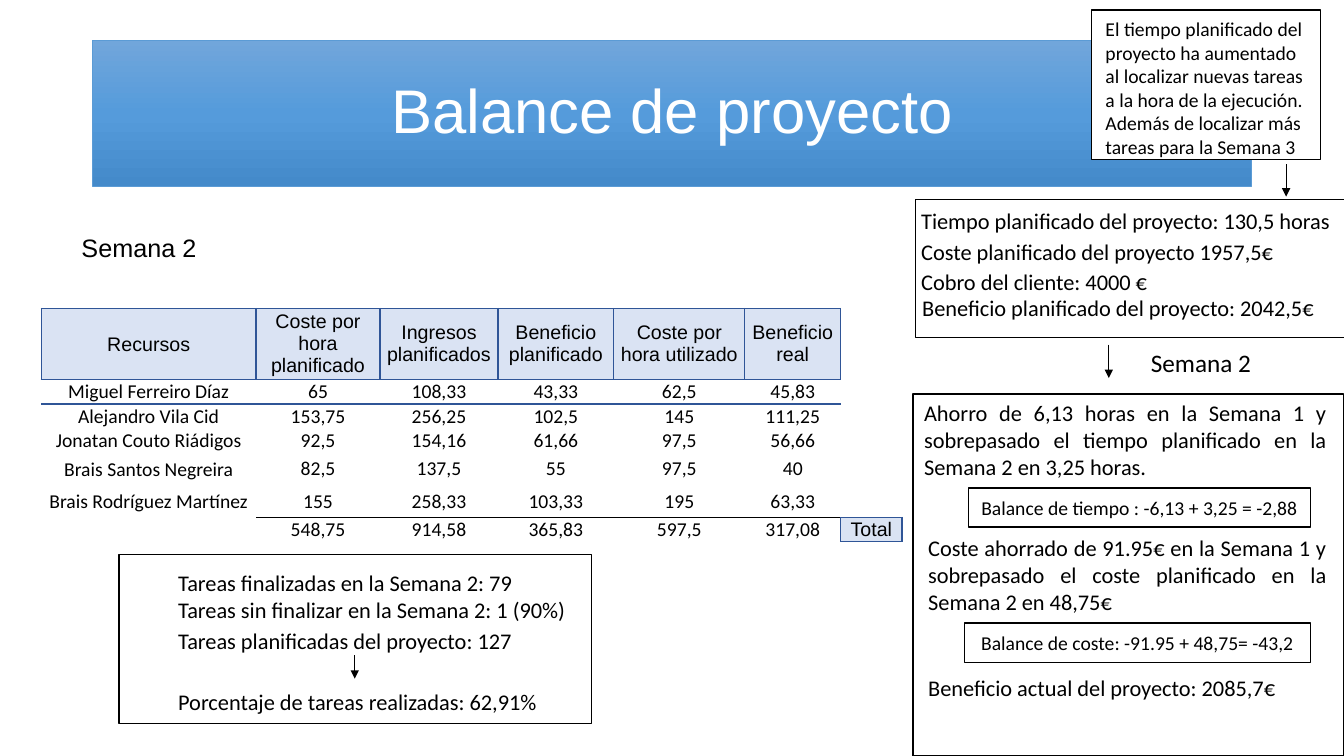
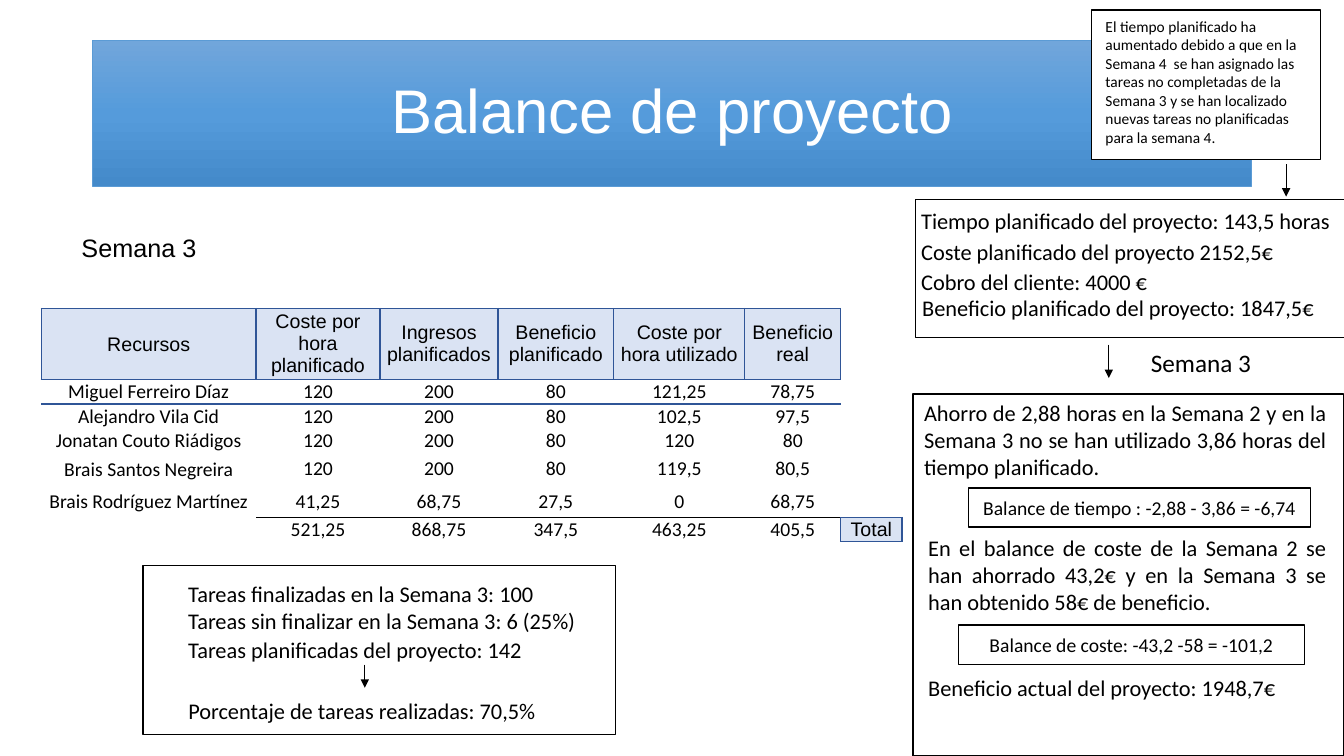
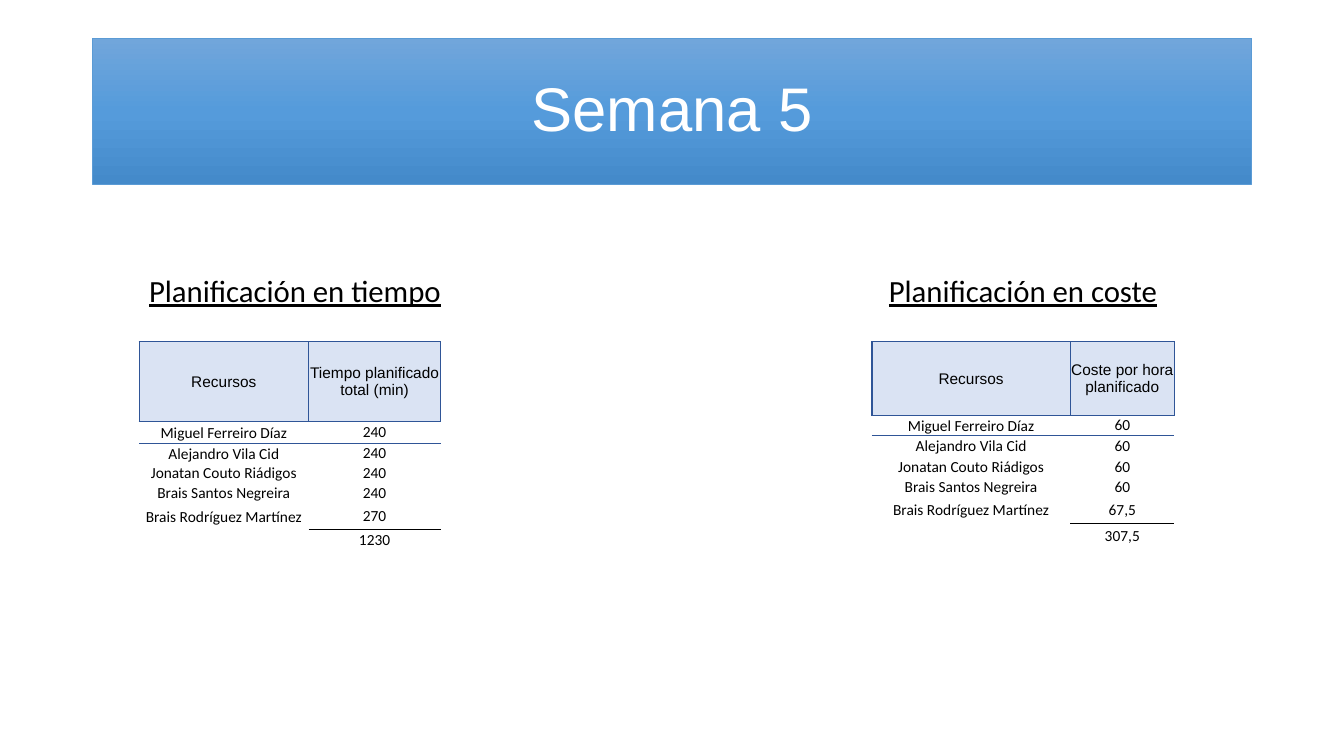
from copy import deepcopy

from lxml import etree
from pptx import Presentation
from pptx.dml.color import RGBColor
from pptx.enum import shapes, text
from pptx.oxml import ns
from pptx.util import Pt

BLACK = RGBColor(0x00, 0x00, 0x00)
WHITE = RGBColor(0xFF, 0xFF, 0xFF)
NAVY = RGBColor(0x2F, 0x55, 0x97)
PALE = RGBColor(0xDA, 0xE3, 0xF3)
BAND_LINE = RGBColor(0x5B, 0x9B, 0xD5)
BAND_STOPS = [
    (0, RGBColor(0x71, 0xA6, 0xDB)),
    (0.5, RGBColor(0x55, 0x9B, 0xDB)),
    (1, RGBColor(0x44, 0x8A, 0xCA)),
]
HEAD_FONT, BODY_FONT = "Arial", "Calibri"
PLAIN_TABLE = "{2D5ABB26-0587-4C30-8999-92F81FD0307C}"
LEFT, CENTER, JUSTIFY = (text.PP_ALIGN.LEFT, text.PP_ALIGN.CENTER,
                         text.PP_ALIGN.JUSTIFY)

PEOPLE = ["Miguel Ferreiro Díaz", "Alejandro Vila Cid", "Jonatan Couto Riádigos",
          "Brais Santos Negreira", "Brais Rodríguez Martínez"]
BALANCE_HEAD = ["Recursos", "Coste por hora planificado", "Ingresos planificados",
                "Beneficio planificado", "Coste por hora utilizado", "Beneficio real"]
BALANCE_COLS = [153.4, 88.6, 84.2, 82.8, 93.6, 68.4, 43.9]
BALANCE_ROWS = [50.8, 17.5, 17.5, 17.5, 23, 23, 17.5]

BALANCES = [
    dict(
        week="Semana 2",
        figures=[
            ["65", "108,33", "43,33", "62,5", "45,83"],
            ["153,75", "256,25", "102,5", "145", "111,25"],
            ["92,5", "154,16", "61,66", "97,5", "56,66"],
            ["82,5", "137,5", "55", "97,5", "40"],
            ["155", "258,33", "103,33", "195", "63,33"],
            ["548,75", "914,58", "365,83", "597,5", "317,08"],
        ],
        note="El tiempo planificado del proyecto ha aumentado al localizar nuevas "
             "tareas a la hora de la ejecución. Además de localizar más tareas "
             "para la Semana 3",
        note_size=14,
        plan=["Tiempo planificado del proyecto: 130,5 horas",
              "Coste planificado del proyecto 1957,5€",
              "Cobro del cliente: 4000 €",
              "Beneficio planificado del proyecto: 2042,5€"],
        time="Ahorro de 6,13 horas en la Semana 1 y sobrepasado el tiempo "
             "planificado en la Semana 2 en 3,25 horas.",
        time_balance="Balance de tiempo : -6,13 + 3,25 = -2,88",
        cost="Coste ahorrado de 91.95€ en la Semana 1 y sobrepasado el coste "
             "planificado en la Semana 2 en 48,75€",
        cost_balance="Balance de coste: -91.95 + 48,75= -43,2",
        cost_box=(689, 445),
        profit="Beneficio actual del proyecto: 2085,7€",
        tasks=["Tareas finalizadas en la Semana 2: 79",
               "Tareas sin finalizar en la Semana 2: 1 (90%)"],
        planned="Tareas planificadas del proyecto: 127",
        done="Porcentaje de tareas realizadas: 62,91%",
        tasks_box=(85, 396), tasks_left=120.2, planned_top=444.2,
    ),
    dict(
        week="Semana 3",
        figures=[
            ["120", "200", "80", "121,25", "78,75"],
            ["120", "200", "80", "102,5", "97,5"],
            ["120", "200", "80", "120", "80"],
            ["120", "200", "80", "119,5", "80,5"],
            ["41,25", "68,75", "27,5", "0", "68,75"],
            ["521,25", "868,75", "347,5", "463,25", "405,5"],
        ],
        note="El tiempo planificado ha aumentado debido a que en la Semana 4  se "
             "han asignado las tareas no completadas de la Semana 3 y se han "
             "localizado nuevas tareas no planificadas para la semana 4.",
        note_size=11,
        plan=["Tiempo planificado del proyecto: 143,5 horas",
              "Coste planificado del proyecto 2152,5€",
              "Cobro del cliente: 4000 €",
              "Beneficio planificado del proyecto: 1847,5€"],
        time="Ahorro de 2,88 horas en la Semana 2 y en la Semana 3 no se han "
             "utilizado 3,86 horas del tiempo planificado.",
        time_balance="Balance de tiempo : -2,88 - 3,86 = -6,74",
        cost="En el balance de coste de la Semana 2 se han ahorrado 43,2€ y en la "
             "Semana 3 se han obtenido 58€ de beneficio.",
        cost_balance="Balance de coste: -43,2 -58 = -101,2",
        cost_box=(684.7, 446.4),
        profit="Beneficio actual del proyecto: 1948,7€",
        tasks=["Tareas finalizadas en la Semana 3: 100",
               "Tareas sin finalizar en la Semana 3: 6 (25%)"],
        planned="Tareas planificadas del proyecto: 142",
        done="Porcentaje de tareas realizadas: 70,5%",
        tasks_box=(102.2, 403.9), tasks_left=127.4, planned_top=450.7,
    ),
]

FORECASTS = [
    dict(title="Planificación en tiempo", title_left=99.4, left=99.4,
         head=["Recursos", "Tiempo planificado total (min)"],
         figures=["240", "240", "240", "240", "270", "1230"],
         cols=[121, 94.4], rows=[57, 15.8, 14, 14, 14.8, 18.7, 14.5]),
    dict(title="Planificación en coste", title_left=627.8, left=622.8,
         head=["Recursos", "Coste por hora planificado"],
         figures=["60", "60", "60", "60", "67,5", "307,5"],
         cols=[141.8, 74.2], rows=[52.6, 14.4, 15.1, 14.4, 14.4, 18.7, 18.7]),
]


def write(tf, lines, size=16, font=BODY_FONT, color=BLACK, align=LEFT,
          underline=False, spacing=None, anchor=None):
    """Fill a text frame with one paragraph per line."""
    lines = [lines] if isinstance(lines, str) else lines
    if anchor is not None:
        tf.vertical_anchor = anchor
    for i, line in enumerate(lines):
        p = tf.add_paragraph() if i else tf.paragraphs[0]
        p.alignment = align
        if spacing:
            p.line_spacing = spacing
        r = p.add_run()
        r.text = line
        r.font.size, r.font.name, r.font.color.rgb = Pt(size), font, color
        if underline:
            r.font.underline = True


def add_label(slide, lines, left, top, width, height=26.6, **fmt):
    tf = slide.shapes.add_textbox(Pt(left), Pt(top), Pt(width), Pt(height)).text_frame
    tf.word_wrap = True
    write(tf, lines, **fmt)


def add_box(slide, left, top, width, height, label=None):
    sp = slide.shapes.add_shape(shapes.MSO_SHAPE.RECTANGLE, Pt(left), Pt(top),
                                Pt(width), Pt(height))
    sp.shadow.inherit = False
    sp.fill.solid()
    sp.fill.fore_color.rgb = WHITE
    sp.line.color.rgb, sp.line.width = BLACK, Pt(1)
    if label:
        write(sp.text_frame, label, size=14, align=CENTER,
              anchor=text.MSO_ANCHOR.MIDDLE)


def add_down_arrow(slide, x, top, bottom):
    cx = slide.shapes.add_connector(shapes.MSO_CONNECTOR.STRAIGHT, Pt(x), Pt(top),
                                    Pt(x), Pt(bottom))
    cx.line.color.rgb, cx.line.width = BLACK, Pt(0.5)
    etree.SubElement(cx.line._get_or_add_ln(), ns.qn("a:tailEnd"), type="triangle")
    etree.SubElement(cx._element.spPr, ns.qn("a:effectLst"))


def add_title(slide, title, top=28.8):
    """Turn the title placeholder into the blue gradient band."""
    sp = slide.shapes.title
    sp.left, sp.top, sp.width, sp.height = Pt(66.2), Pt(top), Pt(828), Pt(104.4)
    sp.fill.gradient()
    sp.fill.gradient_angle = 270
    stops = sp._element.spPr.find(".//" + ns.qn("a:gsLst"))
    stops.append(deepcopy(stops[0]))
    for stop, (position, color) in zip(sp.fill.gradient_stops, BAND_STOPS):
        stop.position, stop.color.rgb = position, color
    sp.line.color.rgb, sp.line.width = BAND_LINE, Pt(0.5)
    write(sp.text_frame, title, size=44, font=HEAD_FONT, color=WHITE, align=CENTER,
          spacing=0.9, anchor=text.MSO_ANCHOR.MIDDLE)


def find_edges(grid, heads):
    """Map each cell to its borders, shared with the neighbour on each side."""
    edges = {}

    def draw(r, c, sides, line):
        for side in sides:
            dr, dc, opposite = {"L": (0, -1, "R"), "R": (0, 1, "L"),
                                "T": (-1, 0, "B"), "B": (1, 0, "T")}[side]
            edges.setdefault((r, c), {})[side] = line
            edges.setdefault((r + dr, c + dc), {})[opposite] = line

    last = len(grid) - 1
    for c, value in enumerate(grid[last]):
        if value:
            draw(last, c, "T", (BLACK, 0.5))
    for r, c in heads:
        draw(r, c, "LRTB", (NAVY, 1))
    return edges


def set_borders(cell, borders):
    tcPr = cell._tc.get_or_add_tcPr()
    for side in "LRTB":
        if side in borders:
            color, width = borders[side]
            ln = etree.SubElement(tcPr, ns.qn("a:ln" + side), w=str(Pt(width)))
            fill = etree.SubElement(ln, ns.qn("a:solidFill"))
            etree.SubElement(fill, ns.qn("a:srgbClr"), val=str(color))


def add_grid(slide, grid, left, top, cols, rows, size):
    """Add a table whose first row, and any Total cell, is a pale heading."""
    frame = slide.shapes.add_table(len(rows), len(cols), Pt(left), Pt(top),
                                   Pt(sum(cols)), Pt(sum(rows)))
    tbl = frame.table
    tbl.first_row = tbl.horz_banding = False
    tbl._tbl.tblPr.find(ns.qn("a:tableStyleId")).text = PLAIN_TABLE
    for col, width in zip(tbl.columns, cols):
        col.width = Pt(width)
    for row, height in zip(tbl.rows, rows):
        row.height = Pt(height)
    heads = [(r, c) for r, line in enumerate(grid) for c, value in enumerate(line)
             if value and (r == 0 or value == "Total")]
    edges = find_edges(grid, heads)
    for r, line in enumerate(grid):
        for c, value in enumerate(line):
            cell, is_head = tbl.cell(r, c), (r, c) in heads
            cell.margin_left = cell.margin_right = Pt(0.5)
            cell.margin_top, cell.margin_bottom = Pt(0.5 if c == 0 else 0), Pt(0)
            cell.vertical_anchor = text.MSO_ANCHOR.MIDDLE
            set_borders(cell, edges.get((r, c), {}))
            if is_head:
                cell.fill.solid()
                cell.fill.fore_color.rgb = PALE
            else:
                cell.fill.background()
            if value:
                write(cell.text_frame, value, size=size, align=CENTER,
                      font=HEAD_FONT if is_head else BODY_FONT)
            else:
                etree.SubElement(cell.text_frame.paragraphs[0]._p,
                                 ns.qn("a:endParaRPr"), sz=str(size * 100))


def add_balance(slide, d):
    add_title(slide, "Balance de proyecto")
    add_label(slide, d["week"], 51.1, 162.7, 101.5, size=18, font=HEAD_FONT)
    grid = [BALANCE_HEAD + [""]]
    grid += [[name, *row, "Total" if not name else ""]
             for name, row in zip(PEOPLE + [""], d["figures"])]
    add_grid(slide, grid, 29.5, 220.3, BALANCE_COLS, BALANCE_ROWS, 14)

    add_box(slide, 779.8, 7.2, 163.4, 106.6)
    add_label(slide, d["note"], 782.6, 8.6, 160.6, 105, size=d["note_size"])
    add_down_arrow(slide, 918.7, 117.4, 140.4)

    add_box(slide, 653.8, 142.6, 307.4, 98.6)
    plan_places = [(650.9, 144.7), (650.9, 166.3), (650.9, 187.9), (651.6, 206.6)]
    for line, (left, top) in zip(d["plan"], plan_places):
        add_label(slide, line, left, top, 325)
    add_down_arrow(slide, 792, 246.2, 270)
    add_label(slide, d["week"], 815, 244.8, 128, size=18)

    add_box(slide, 652.3, 281.5, 307.4, 258.5)
    add_label(slide, d["time"], 653, 281.5, 301.7, 65.5, align=JUSTIFY)
    add_box(slide, 691.9, 348.5, 244.1, 28.1, d["time_balance"])
    add_label(slide, d["cost"], 655.9, 378, 298.8, 65.5, align=JUSTIFY)
    add_box(slide, *d["cost_box"], 247, 28.1, d["cost_balance"])
    add_label(slide, d["profit"], 655.9, 478.1, 298.8)

    box_left, box_top = d["tasks_box"]
    left, top = d["tasks_left"], d["planned_top"]
    add_box(slide, box_left, box_top, 337.7, 120.6)
    add_label(slide, d["tasks"], left, box_top + 7.2, 307.4, 46)
    add_label(slide, d["planned"], left, top, 268)
    add_down_arrow(slide, left + 133.2, top + 24, top + 40.6)
    add_label(slide, d["done"], left, top + 43.6, 276)


def add_forecasts(slide):
    add_title(slide, "Semana 5", top=27.4)
    for d in FORECASTS:
        add_label(slide, d["title"], d["title_left"], 190.8, 224.6, 33.8,
                  size=22, underline=True)
        grid = [d["head"], *zip(PEOPLE + [""], d["figures"])]
        add_grid(slide, grid, d["left"], 244.1, d["cols"], d["rows"], 11)


def main():
    prs = Presentation()
    prs.slide_width, prs.slide_height = Pt(960), Pt(540)
    title_only = prs.slide_layouts[5]
    for d in BALANCES:
        add_balance(prs.slides.add_slide(title_only), d)
    add_forecasts(prs.slides.add_slide(title_only))
    prs.save("out.pptx")


if __name__ == "__main__":
    main()
